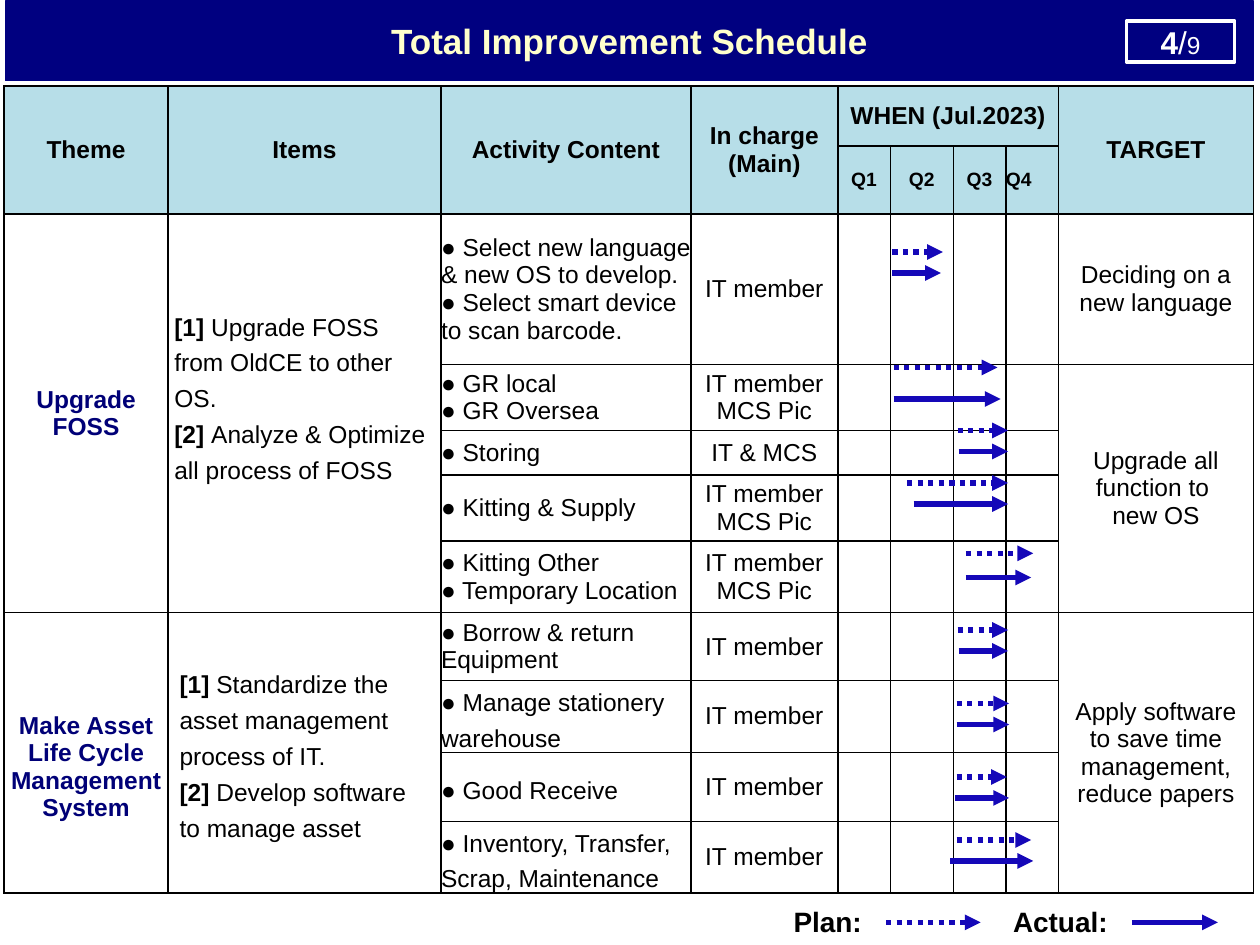
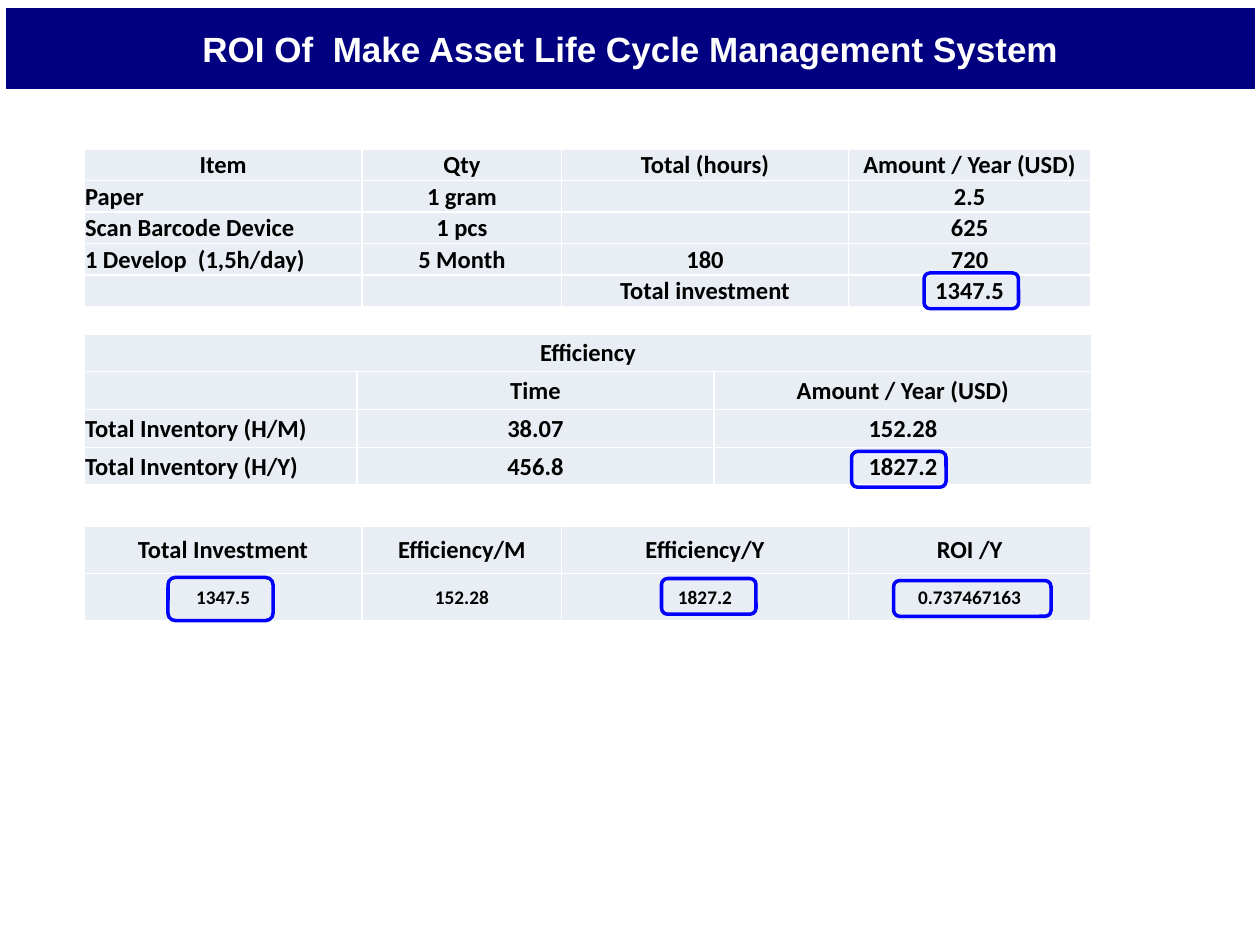
from dataclasses import dataclass

import pptx
import pptx.dml.color
import pptx.enum.dml
import pptx.enum.shapes
import pptx.enum.text
import pptx.oxml
import pptx.oxml.ns
import pptx.util

Align = pptx.enum.text.PP_ALIGN
Preset = pptx.enum.shapes.MSO_SHAPE
COLORS = {
    "navy": "000080", "theme": "000077", "cream": "FFFFCC", "white": "FFFFFF",
    "black": "000000", "header": "B7DEE8", "pale": "E9EDF4",
    "arrow": "1508B8", "highlight": "0000FF",
}
SLIDE_WIDTH = pptx.util.Inches(10)
SLIDE_HEIGHT = pptx.util.Inches(7.5)
GRID_UNIT = SLIDE_WIDTH / 120


@dataclass(frozen=True)
class Run:
    text: str
    bold: bool = False
    size: float = 14
    color: str = "black"
    font: str = "Arial"


@dataclass(frozen=True)
class Box:
    left: float
    top: float
    width: float
    height: float

    def lengths(self) -> tuple:
        return tuple(grid(n) for n in (self.left, self.top, self.width, self.height))


@dataclass(frozen=True)
class Cell:
    row: int
    column: int
    paragraphs: tuple
    align: Align = Align.CENTER
    spacing: float = 1.0
    margins: tuple = (0, 0, 0, 0)
    rows: int = 1
    columns: int = 1
    fill: str = "white"


@dataclass(frozen=True)
class Grid:
    left: float
    top: float
    columns: tuple
    rows: tuple
    fill: str
    border: str
    cells: tuple


@dataclass(frozen=True)
class Arrow:
    start: float
    end: float
    row: float
    planned: bool


def grid(units: float) -> int:
    return round(units * GRID_UNIT)


def rgb(name: str) -> pptx.dml.color.RGBColor:
    return pptx.dml.color.RGBColor.from_string(COLORS[name])


def add_runs(paragraph, runs: tuple) -> None:
    for item in runs:
        run = paragraph.add_run()
        run.text = item.text
        run.font.name = item.font
        run.font.size = pptx.util.Pt(item.size)
        run.font.bold = item.bold
        run.font.color.rgb = rgb(item.color)


def draw_box(slide, box: Box, line: str, weight: float, fill: str = "",
             runs: tuple = (), preset=Preset.RECTANGLE, wrap: bool = True) -> None:
    shape = slide.shapes.add_shape(preset, *box.lengths())
    shape.shadow.inherit = False
    if fill:
        shape.fill.solid()
        shape.fill.fore_color.rgb = rgb(fill)
    else:
        shape.fill.background()
    shape.line.color.rgb = rgb(line)
    shape.line.width = pptx.util.Pt(weight)
    frame = shape.text_frame
    frame.word_wrap = wrap
    frame.vertical_anchor = pptx.enum.text.MSO_ANCHOR.MIDDLE
    frame.paragraphs[0].alignment = Align.CENTER
    add_runs(frame.paragraphs[0], runs)


def draw_title(slide, left: float, top: float, title: str, color: str) -> None:
    draw_box(slide, Box(left, top, 118.9, 7.6), "navy", 0.75, "navy",
             (Run(title, True, 20, color),), wrap=False)


def draw_label(slide, box: Box, label: str) -> None:
    frame = slide.shapes.add_textbox(*box.lengths()).text_frame
    frame.word_wrap = True
    add_runs(frame.paragraphs[0], (Run(label, True, 16),))


def draw_arrow(slide, arrow: Arrow) -> None:
    line = slide.shapes.add_connector(
        pptx.enum.shapes.MSO_CONNECTOR.STRAIGHT,
        grid(arrow.start), grid(arrow.row), grid(arrow.end), grid(arrow.row))
    line.line.color.rgb = rgb("arrow")
    line.line.width = pptx.util.Pt(3)
    if arrow.planned:
        line.line.dash_style = pptx.enum.dml.MSO_LINE.ROUND_DOT
    namespace = pptx.oxml.ns.nsdecls("a")
    properties = line._element.spPr
    properties.find(pptx.oxml.ns.qn("a:ln")).append(
        pptx.oxml.parse_xml(f'<a:tailEnd {namespace} type="triangle"/>'))
    properties.append(pptx.oxml.parse_xml(f"<a:effectLst {namespace}/>"))


def format_cell(cell, fill: str, border: str) -> None:
    namespace = pptx.oxml.ns.nsdecls("a")
    properties = cell._tc.get_or_add_tcPr()
    for side in ("lnL", "lnR", "lnT", "lnB"):
        properties.append(pptx.oxml.parse_xml(
            f'<a:{side} {namespace} w="12700"><a:solidFill>'
            f'<a:srgbClr val="{COLORS[border]}"/></a:solidFill></a:{side}>'))
    cell.fill.solid()
    cell.fill.fore_color.rgb = rgb(fill)
    set_margins(cell, (0, 0, 0, 0))


def set_margins(cell, margins: tuple) -> None:
    (cell.margin_left, cell.margin_top,
     cell.margin_right, cell.margin_bottom) = (grid(n) for n in margins)


def write_cell(table, content: Cell) -> None:
    cell = table.cell(content.row, content.column)
    if content.rows * content.columns > 1:
        cell.merge(table.cell(content.row + content.rows - 1,
                              content.column + content.columns - 1))
    cell.fill.fore_color.rgb = rgb(content.fill)
    cell.vertical_anchor = pptx.enum.text.MSO_ANCHOR.MIDDLE
    set_margins(cell, content.margins)
    frame = cell.text_frame
    for index, runs in enumerate(content.paragraphs):
        paragraph = frame.add_paragraph() if index else frame.paragraphs[0]
        paragraph.alignment = content.align
        paragraph.line_spacing = content.spacing
        add_runs(paragraph, runs)


def draw_table(slide, layout: Grid) -> None:
    box = Box(layout.left, layout.top, sum(layout.columns), sum(layout.rows))
    table = slide.shapes.add_table(
        len(layout.rows), len(layout.columns), *box.lengths()).table
    table.first_row = table.horz_banding = False
    for column, width in zip(table.columns, layout.columns):
        column.width = grid(width)
    for row, height in zip(table.rows, layout.rows):
        row.height = grid(height)
    for cell in table.iter_cells():
        format_cell(cell, layout.fill, layout.border)
    for content in layout.cells:
        write_cell(table, content)
    for cell in table.iter_cells():
        if not cell.text:
            cell.text_frame.paragraphs[0]._p.append(pptx.oxml.parse_xml(
                f'<a:endParaRPr {pptx.oxml.ns.nsdecls("a")} sz="1100"/>'))


def schedule_cells() -> tuple:
    inset, side = (1.2, 0.6, 1.2, 0.6), (0.6, 0, 0.6, 0)
    cells = [Cell(0, column, ((Run(heading, True),),), margins=inset, fill="header",
                  rows=1 if column == 4 else 2, columns=4 if column == 4 else 1)
             for column, heading in (
                 (0, "Theme"), (1, "Items"), (2, "Activity Content"),
                 (3, "In charge (Main)"), (4, "WHEN (Jul.2023)"), (8, "TARGET"))]
    cells += [Cell(1, 4 + index, ((Run(quarter, True, 11),),), fill="header",
                   align=Align.LEFT if quarter == "Q4" else Align.CENTER)
              for index, quarter in enumerate(("Q1", "Q2", "Q3", "Q4"))]
    cells += [Cell(row, 0, ((Run(theme, True, color="theme"),),),
                   rows=span, margins=(0, top, 0, 0))
              for row, span, top, theme in (
                  (2, 5, 0, "Upgrade FOSS"),
                  (7, 4, 2.7, "Make Asset Life Cycle Management System"))]
    cells += [Cell(row, 1, tuple((Run(f"[{number}] ", True), Run(item))
                                 for number, item in enumerate(items, 1)),
                   Align.LEFT, 1.3, margins, span)
              for row, span, margins, items in (
                  (2, 5, (0.6, 0, 0.6, 3.5), ("Upgrade FOSS from OldCE to other OS.",
                                              "Analyze & Optimize all process of FOSS")),
                  (7, 4, (1.1, 0.5, 1.1, 0.5), ("Standardize the asset management process of IT.",
                                                "Develop software to manage asset")))]
    activities = (
        ("IT member", 1, "Select new language & new OS to develop.",
         "Select smart device to scan barcode."),
        ("IT member MCS Pic", 1, "GR local", "GR Oversea"),
        ("IT & MCS", 1, "Storing"),
        ("IT member MCS Pic", 1, "Kitting & Supply"),
        ("IT member MCS Pic", 1, "Kitting Other", "Temporary Location"),
        ("IT member", 1, "Borrow & return Equipment"),
        ("IT member", 1.3, "Manage stationery warehouse"),
        ("IT member", 1.3, "Good Receive"),
        ("IT member", 1.3, "Inventory, Transfer, Scrap, Maintenance"),
    )
    for row, (owner, spacing, *steps) in enumerate(activities, 2):
        cells.append(Cell(row, 2, tuple((Run(f"● {step}"),) for step in steps),
                          Align.LEFT, spacing))
        cells.append(Cell(row, 3, ((Run(owner),),), margins=(1.1, 0.5, 1.1, 0.5)))
    cells += [Cell(row, 8, tuple((Run(line),) for line in target), rows=span, margins=side)
              for row, span, target in (
                  (2, 1, ("Deciding on a new language",)),
                  (3, 4, ("Upgrade all function to ", "new OS")),
                  (7, 4, ("Apply software to save time management, reduce papers",)))]
    return tuple(cells)


def build_schedule(slide) -> None:
    draw_title(slide, 0.5, 0.1, "Total Improvement Schedule", "cream")
    draw_box(slide, Box(107.3, 2, 10.3, 3.9), "white", 2, runs=(
        Run("4", True, 18, "white"), Run("/", False, 18, "white"),
        Run("9", False, 14, "white")))
    draw_table(slide, Grid(
        0.4, 8.2, (15.6, 26, 23.8, 14, 5, 6, 5, 5, 18.6),
        (5.7, 6.5, 14.3, 6.3, 4.25, 6.3, 6.8, 6.5, 6.8, 6.6, 6.8),
        "white", "black", schedule_cells()))
    draw_label(slide, Box(74.4, 85.6, 10, 4.4), "Plan:")
    draw_label(slide, Box(95.3, 85.6, 12.5, 4.4), "Actual:")
    draw_arrow(slide, Arrow(84.4, 93.4, 87.85, True))
    draw_arrow(slide, Arrow(107.8, 116, 87.85, False))
    for row, gap, plan, actual in (
            (24, 2, (85, 89.8), (85, 89.6)),
            (35, 3, (85.1, 95), (85.1, 95.3)),
            (41, 2, (91.2, 96), (91.3, 96)),
            (46, 2, (86.4, 96), (87, 96)),
            (52.7, 2.3, (92, 98.4), (92, 98.2)),
            (60, 2, (91.2, 96), (91.3, 96)),
            (67, 2, (91.1, 96.1), (91.1, 96.1)),
            (74, 2, (91.1, 95.9), (91, 96.1)),
            (80, 2, (91.1, 98.2), (90.5, 98.4))):
        draw_arrow(slide, Arrow(*plan, row, True))
        draw_arrow(slide, Arrow(*actual, row + gap, False))


def roi_table(top: float, columns: tuple, rows: tuple, values: tuple,
              heading: str = "", labelled: bool = True, value_size: float = 14) -> Grid:
    first = 1 if heading else 0
    margins = (0.1, 0.1, 0.1, 0)
    cells = [Cell(row, column,
                  ((Run(text, True, 14 if row == first else value_size, font="Calibri"),),),
                  Align.LEFT if labelled and column == 0 and row > first else Align.CENTER,
                  margins=margins, fill="pale")
             for row, texts in enumerate(values, first)
             for column, text in enumerate(texts) if text]
    if heading:
        cells.append(Cell(0, 0, ((Run(heading, True, font="Calibri"),),),
                          margins=margins, columns=len(columns), fill="pale"))
    return Grid(8, top, columns, rows, "pale", "white", tuple(cells))


def build_roi(slide) -> None:
    draw_title(slide, 0.6, 0.8, "ROI Of  Make Asset Life Cycle Management System", "white")
    four_columns = (26.5, 19, 27.3, 23.1)
    draw_table(slide, roi_table(14.2, four_columns, (3,) * 5, (
        ("Item", "Qty", "Total (hours)", "Amount / Year (USD)"),
        ("Paper", "1 gram", "", "2.5"),
        ("Scan Barcode Device", "1 pcs", "", "625"),
        ("1 Develop  (1,5h/day)", "5 Month", "180", "720"),
        ("", "", "Total investment", "1347.5"))))
    draw_table(slide, roi_table(31.8, (26, 34, 36), (3.6,) * 4, (
        ("", "Time", "Amount / Year (USD)"),
        ("Total Inventory (H/M)", "38.07", "152.28"),
        ("Total Inventory (H/Y)", "456.8", "1827.2")), heading="Efficiency"))
    draw_table(slide, roi_table(50.1, four_columns, (4.5,) * 2, (
        ("Total Investment", "Efficiency/M", "Efficiency/Y", "ROI /Y"),
        ("1347.5", "152.28", "1827.2", "0.737467163")), labelled=False, value_size=11))
    for highlight in (Box(88, 26, 9, 3.4), Box(81.1, 43, 9, 3.4), Box(16, 55, 10, 4.1),
                      Box(63, 55.1, 9, 3.4), Box(85.1, 55.3, 15, 3.4)):
        draw_box(slide, highlight, "highlight", 2, preset=Preset.ROUNDED_RECTANGLE)


def main() -> None:
    deck = pptx.Presentation()
    deck.slide_width, deck.slide_height = SLIDE_WIDTH, SLIDE_HEIGHT
    for build in (build_schedule, build_roi):
        build(deck.slides.add_slide(deck.slide_layouts[6]))
    deck.save("out.pptx")


if __name__ == "__main__":
    main()
